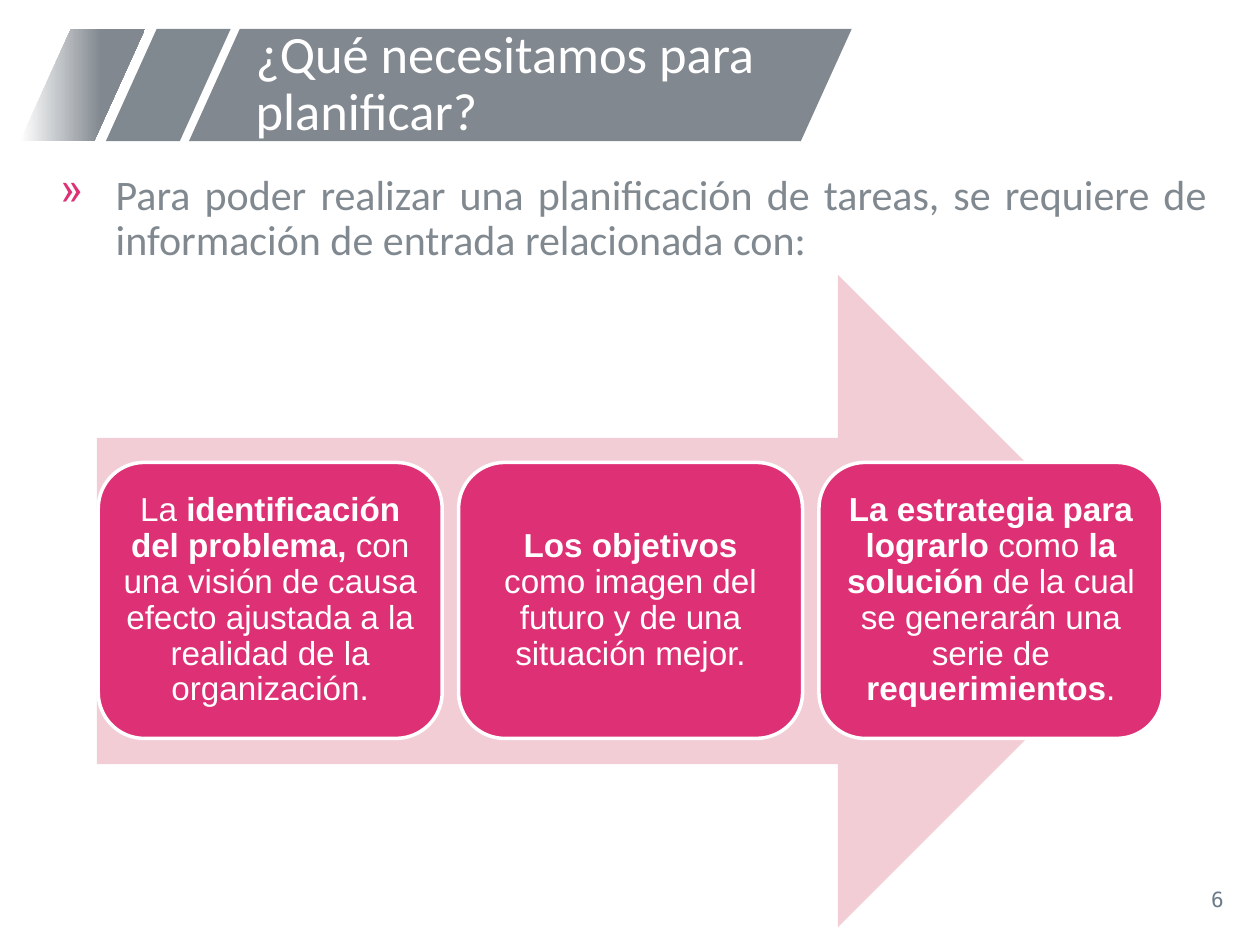
from dataclasses import dataclass

from lxml.etree import SubElement
from pptx import Presentation
from pptx.dml.color import RGBColor
from pptx.enum.shapes import MSO_SHAPE
from pptx.enum.text import MSO_ANCHOR, PP_ALIGN
from pptx.oxml.ns import qn
from pptx.util import Inches, Pt


@dataclass(frozen=True)
class Theme:
    white: str = "FFFFFF"
    banner: str = "81888F"
    gray: str = "818990"
    number: str = "6C7A8A"
    pink: str = "DE3075"
    pale: str = "F2CDD6"
    heading_font: str = "Calibri"
    card_font: str = "Arial"
    number_font: str = "DejaVu Sans Mono"
    title_size: int = 30
    body_size: int = 24
    card_size: int = 19
    number_size: int = 12


class SlideBuilder:
    def __init__(self, slide, theme):
        self.slide = slide
        self.theme = theme

    def shape(self, kind, box, fill, line=None, adjustment=None):
        shape = self.slide.shapes.add_shape(kind, *map(Inches, box))
        shape.shadow.inherit = False
        shape.fill.solid()
        shape.fill.fore_color.rgb = RGBColor.from_string(fill)
        if line:
            shape.line.color.rgb = RGBColor.from_string(line)
            shape.line.width = Pt(2)
        else:
            shape.line.fill.background()
        if adjustment is not None:
            shape.adjustments[0] = adjustment
        return shape

    def banner_piece(self, left, width, fill):
        box = (left, 0.23, width, 0.89)
        return self.shape(MSO_SHAPE.PARALLELOGRAM, box, fill, adjustment=0.453)

    def fade(self, shape):
        shape.fill.gradient()
        shape.fill.gradient_angle = 0
        stops = ((0, self.theme.white), (0.65, self.theme.banner))
        for stop, (position, color) in zip(shape.fill.gradient_stops, stops):
            stop.position = position
            stop.color.rgb = RGBColor.from_string(color)

    def fill_text(self, shape, runs, font, size, color, alignment,
                  anchor=MSO_ANCHOR.MIDDLE, bullet=None, margins=(0.1, 0.05)):
        frame = shape.text_frame
        horizontal, vertical = map(Inches, margins)
        frame_format = {
            "word_wrap": True, "vertical_anchor": anchor,
            "margin_left": horizontal, "margin_right": horizontal,
            "margin_top": vertical, "margin_bottom": vertical,
        }
        for name, value in frame_format.items():
            setattr(frame, name, value)
        paragraph = frame.paragraphs[0]
        paragraph.alignment = alignment
        paragraph.line_spacing = 0.9
        if bullet:
            self.add_bullet(paragraph, bullet)
        for text, bold in runs:
            run = paragraph.add_run()
            run.text = text
            run_format = {"name": font, "size": Pt(size), "bold": bold}
            for name, value in run_format.items():
                setattr(run.font, name, value)
            run.font.color.rgb = RGBColor.from_string(color)

    def add_bullet(self, paragraph, character):
        properties = paragraph._p.get_or_add_pPr()
        properties.set("marL", str(Inches(0.5)))
        properties.set("indent", str(Inches(-0.44)))
        color = SubElement(properties, qn("a:buClr"))
        SubElement(color, qn("a:srgbClr"), val=self.theme.pink)
        SubElement(properties, qn("a:buChar"), char=character)

    def text(self, box, text, font, size, color, alignment, **options):
        shape = self.slide.shapes.add_textbox(*map(Inches, box))
        self.fill_text(shape, [(text, False)], font, size, color, alignment, **options)

    def card(self, left, runs):
        theme = self.theme
        box = (left, 3.67, 2.73, 2.19)
        shape = self.shape(MSO_SHAPE.ROUNDED_RECTANGLE, box, theme.pink, theme.white)
        self.fill_text(shape, runs, theme.card_font, theme.card_size, theme.white,
                       PP_ALIGN.CENTER, margins=(0.08, 0.08))


CARDS = [
    [("La ", False), ("identificación del problema, ", True),
     ("con una visión de causa efecto ajustada a la realidad de la organización.", False)],
    [("Los objetivos", True),
     (" como imagen del futuro y de una situación mejor.", False)],
    [("La estrategia para lograrlo ", True), ("como ", False),
     ("la solución ", True), ("de la cual se generarán una serie de ", False),
     ("requerimientos", True), (".", False)],
]


def main():
    presentation = Presentation()
    presentation.slide_width = Inches(10)
    presentation.slide_height = Inches(7.5)
    theme = Theme()
    builder = SlideBuilder(
        presentation.slides.add_slide(presentation.slide_layouts[6]), theme)

    builder.banner_piece(1.5, 5.26, theme.banner)
    builder.banner_piece(0.84, 0.99, theme.gray)
    builder.fade(builder.banner_piece(0.16, 0.99, theme.banner))

    builder.text((7.56, 6.95, 2.25, 0.4), "6", theme.number_font,
                 theme.number_size, theme.number, PP_ALIGN.RIGHT)
    builder.text((1.93, 0.23, 4.69, 0.89), "¿Qué necesitamos para planificar?",
                 theme.heading_font, theme.title_size, theme.white, PP_ALIGN.LEFT)
    builder.text((0.32, 1.33, 9.36, 5.62),
                 "Para poder realizar una planificación de tareas, se requiere de "
                 "información de entrada relacionada con:",
                 theme.heading_font, theme.body_size, theme.gray, PP_ALIGN.JUSTIFY,
                 anchor=MSO_ANCHOR.TOP, bullet="»")

    builder.shape(MSO_SHAPE.RIGHT_ARROW, (0.77, 2.18, 8.47, 5.18), theme.pale)
    for index, runs in enumerate(CARDS):
        builder.card(0.78 + index * 2.86, runs)

    presentation.save("out.pptx")


if __name__ == "__main__":
    main()
